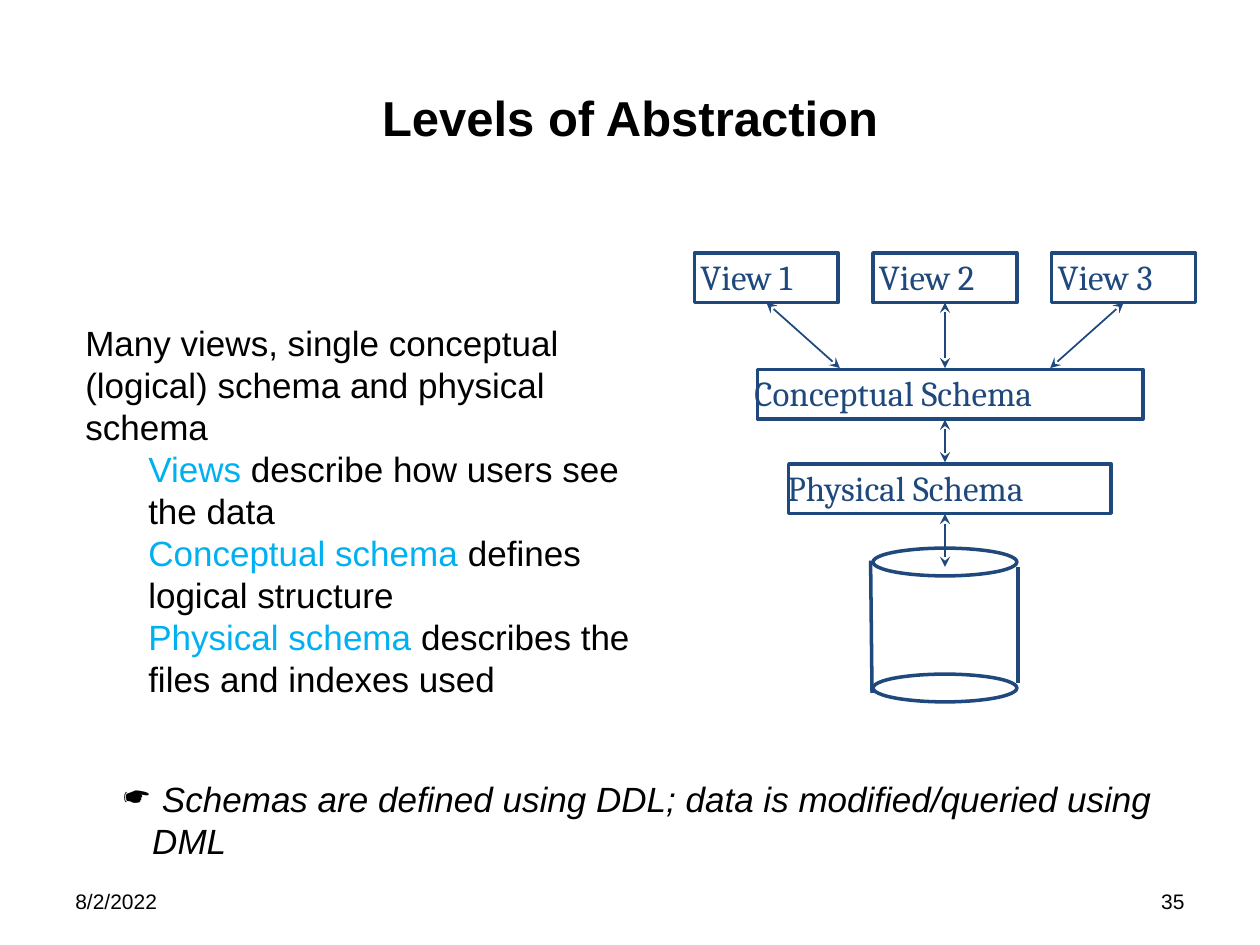
"""Build the Levels of Abstraction slide."""
from dataclasses import dataclass

import pptx
import pptx.dml.color
import pptx.enum.shapes
import pptx.enum.text
import pptx.oxml.ns
import pptx.util
from lxml import etree

Cm = pptx.util.Cm
Shape = pptx.enum.shapes.MSO_SHAPE
Anchor = pptx.enum.text.MSO_ANCHOR
Align = pptx.enum.text.PP_ALIGN


@dataclass(frozen=True)
class Theme:
    """Colours, fonts and type sizes of the slide."""
    ink: str = "000000"
    diagram: str = "1F497D"
    term: str = "00B0F0"
    sans: str = "Arial"
    serif: str = "Cambria"
    title: int = 28
    body: int = 20
    footer: int = 12
    outline: int = 2
    arrow: int = 1


THEME = Theme()


def rgb(value):
    """Return a colour object for a hex string."""
    return pptx.dml.color.RGBColor.from_string(value)


def add_element(parent, tag, **attributes):
    """Append a DrawingML element to a parent."""
    return etree.SubElement(parent, pptx.oxml.ns.qn(tag), **attributes)


def write(paragraph, text, *, size=THEME.body, font=THEME.sans, color=THEME.ink,
          bold=False, italic=False, align=Align.LEFT):
    """Add formatted text to a paragraph."""
    paragraph.alignment = align
    run = paragraph.add_run()
    run.text = text
    run.font.size = pptx.util.Pt(size)
    run.font.name = font
    run.font.bold = bold
    run.font.italic = italic
    run.font.color.rgb = rgb(color)


def set_indent(paragraph, left, first=0):
    """Set left margin and first-line indent in centimetres."""
    properties = paragraph._p.get_or_add_pPr()
    properties.set("marL", str(Cm(left)))
    properties.set("indent", str(Cm(first)))
    return properties


def add_text_box(slide, left, top, width, height, anchor=Anchor.TOP):
    """Add a wrapping text box and return its text frame."""
    box = slide.shapes.add_textbox(Cm(left), Cm(top), Cm(width), Cm(height))
    box.text_frame.word_wrap = True
    box.text_frame.vertical_anchor = anchor
    return box.text_frame


def add_outline(slide, kind, left, top, width, height):
    """Add an unfilled outlined shape."""
    shape = slide.shapes.add_shape(kind, Cm(left), Cm(top), Cm(width), Cm(height))
    shape.shadow.inherit = False
    shape.fill.background()
    shape.line.color.rgb = rgb(THEME.diagram)
    shape.line.width = pptx.util.Pt(THEME.outline)
    return shape


def add_line(slide, start, end, width=THEME.outline, arrows=False):
    """Add a straight line, optionally with an arrowhead at both ends."""
    line = slide.shapes.add_connector(
        pptx.enum.shapes.MSO_CONNECTOR.STRAIGHT, *map(Cm, start + end))
    line.line.color.rgb = rgb(THEME.diagram)
    line.line.width = pptx.util.Pt(width)
    if arrows:
        for tag in ("a:headEnd", "a:tailEnd"):
            add_element(line.line._get_or_add_ln(), tag, type="stealth")
    add_element(line._element.spPr, "a:effectLst")
    return line


def add_labelled_box(slide, text, left, top, width, label_left, label_width):
    """Add a schema rectangle with its label and return the rectangle."""
    frame = add_text_box(slide, label_left, top - 0.08, label_width, 1.09)
    write(frame.paragraphs[0], text, font=THEME.serif, color=THEME.diagram)
    return add_outline(slide, Shape.RECTANGLE, left, top, width, 1)


def add_title(slide, text):
    """Place and format the title."""
    title = slide.shapes.title
    title.left, title.top, title.width, title.height = map(Cm, (1.27, 0.76, 22.86, 3.18))
    title.text_frame.vertical_anchor = Anchor.MIDDLE
    write(title.text_frame.paragraphs[0], text, size=THEME.title, bold=True,
          align=Align.CENTER)


def add_body(slide):
    """Add the statement and the three schema descriptions."""
    frame = add_text_box(slide, 1.47, 6.35, 12.07, 7.87)
    write(frame.paragraphs[0],
          "Many views, single conceptual (logical) schema and physical schema")
    for term, description in (
            ("Views", " describe how users see the data"),
            ("Conceptual schema ", "defines logical structure"),
            ("Physical schema ", "describes the files and indexes used")):
        paragraph = frame.add_paragraph()
        paragraph.level = 1
        set_indent(paragraph, 1.27)
        write(paragraph, term, color=THEME.term)
        write(paragraph, description)


def add_remark(slide):
    """Add the bulleted remark below the diagram."""
    paragraph = add_text_box(slide, 2.24, 15.54, 22.89, 1.09).paragraphs[0]
    properties = set_indent(paragraph, 0.58, -0.58)
    add_element(properties, "a:buChar", char="☛")
    write(paragraph, " Schemas are defined using DDL; data is modified/queried using DML",
          italic=True)


def add_footer(slide):
    """Add the date and the slide number."""
    for text, left, align in (("8/2/2022", 1.27, Align.LEFT), ("35", 18.21, Align.RIGHT)):
        frame = add_text_box(slide, left, 17.65, 5.92, 1.02, Anchor.MIDDLE)
        write(frame.paragraphs[0], text, size=THEME.footer, align=align)


def add_diagram(slide):
    """Add the views, schemas, database cylinder and arrows."""
    center, pitch = 19.05, 3.6
    for top in (11.05, 13.59):
        add_outline(slide, Shape.OVAL, 17.6, top, 2.9, 0.56)
    add_line(slide, (17.55, 11.3), (17.58, 13.97))
    add_line(slide, (20.52, 11.43), (20.52, 13.77))
    add_labelled_box(slide, "Physical Schema", 15.9, 9.35, 6.5, 15.62, 6.1)
    add_labelled_box(slide, "Conceptual Schema", 15.27, 7.45, 7.77, 14.96, 7.09)
    for index, target in enumerate((16.93, center, 21.17)):
        left = 14 + index * pitch
        view = add_labelled_box(slide, f"View {index + 1}", left, 5.1, 2.9,
                                left - 0.13, 2.77)
        arrow = add_line(slide, (left + 1.45, 6.1), (target, 7.42), THEME.arrow, True)
        arrow.begin_connect(view, 2)
    for top, bottom in ((8.46, 9.32), (10.36, 11.43)):
        add_line(slide, (center, top), (center, bottom), THEME.arrow, True)


def main():
    """Build and save the presentation."""
    presentation = pptx.Presentation()
    presentation.slide_width, presentation.slide_height = Cm(25.4), Cm(19.05)
    slide = presentation.slides.add_slide(presentation.slide_layouts[5])
    add_title(slide, "Levels of Abstraction")
    add_footer(slide)
    add_remark(slide)
    add_diagram(slide)
    add_body(slide)
    presentation.save("out.pptx")


if __name__ == "__main__":
    main()
